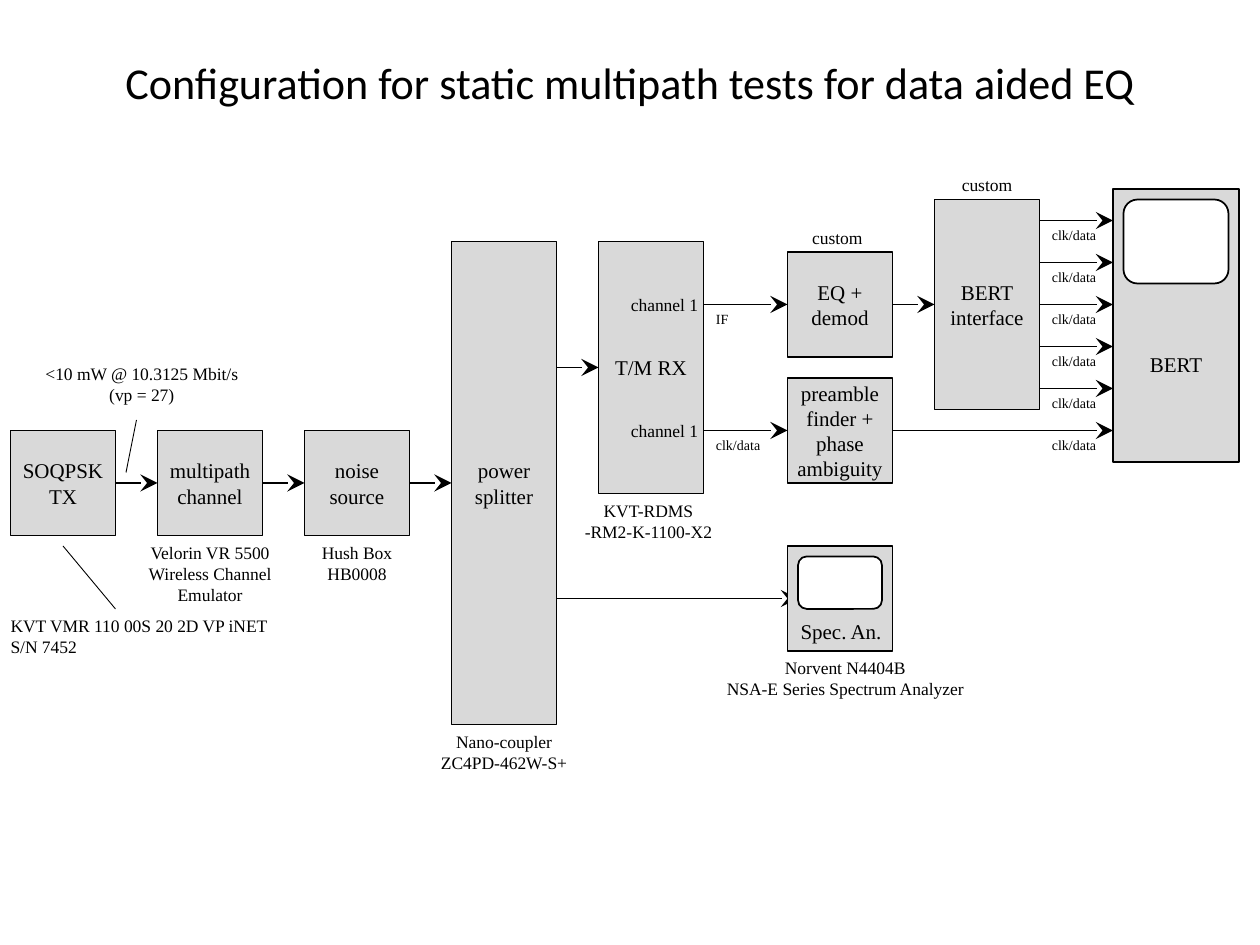
from pptx import Presentation
from pptx.dml.color import RGBColor
from pptx.enum.shapes import MSO_CONNECTOR, MSO_SHAPE
from pptx.enum.text import MSO_ANCHOR, MSO_AUTO_SIZE, PP_ALIGN
from pptx.oxml.ns import qn
from pptx.util import Inches, Pt
from lxml import etree

BLACK = RGBColor(0x00, 0x00, 0x00)
WHITE = RGBColor(0xFF, 0xFF, 0xFF)
GRAY = RGBColor(0xD9, 0xD9, 0xD9)
LEFT, CENTER = PP_ALIGN.LEFT, PP_ALIGN.CENTER
TOP, MIDDLE = MSO_ANCHOR.TOP, MSO_ANCHOR.MIDDLE
RECTANGLE, ROUNDED = MSO_SHAPE.RECTANGLE, MSO_SHAPE.ROUNDED_RECTANGLE
STRAIGHT = MSO_CONNECTOR.STRAIGHT
GROW = MSO_AUTO_SIZE.SHAPE_TO_FIT_TEXT
BLOCK = 10  # side of a standard block, in grid units


def grid(units):
    """Turn grid units, twelve to the inch, into a length."""
    return Inches(units / 12)


def write(frame, text, size=12, font="Times New Roman", align=CENTER,
          anchor=MIDDLE, side=0.0, top_inset=0.05, wrap=True):
    """Fill a text frame, one paragraph for each line of text."""
    frame.word_wrap = wrap
    frame.vertical_anchor = anchor
    frame.margin_left = frame.margin_right = Inches(side)
    frame.margin_top, frame.margin_bottom = Inches(top_inset), Inches(0.05)
    for index, line in enumerate(text.split("\n")):
        paragraph = frame.add_paragraph() if index else frame.paragraphs[0]
        paragraph.alignment = align
        run = paragraph.add_run()
        run.text = line
        run.font.size = Pt(size)
        run.font.name = font
        run.font.color.rgb = BLACK


class Diagram:
    """Draws block diagram elements on one slide, in grid units."""

    def __init__(self, slide):
        """Keep the slide to draw on."""
        self.shapes = slide.shapes

    def block(self, left, top, width=BLOCK, height=BLOCK, text="",
              kind=RECTANGLE, fill=GRAY, **style):
        """Add an outlined block with centred text."""
        shape = self.shapes.add_shape(
            kind, grid(left), grid(top), grid(width), grid(height))
        shape.shadow.inherit = False
        shape.fill.solid()
        shape.fill.fore_color.rgb = fill
        shape.line.color.rgb = BLACK
        shape.line.width = Pt(1)
        if text:
            write(shape.text_frame, text, **style)

    def screen(self, left, top, width, height):
        """Add the white display of an instrument."""
        self.block(left, top, width, height, kind=ROUNDED, fill=WHITE)

    def label(self, left, top, width, text, size=10, height=None, **style):
        """Add free text, as high as its lines unless a height is given."""
        lines = text.count("\n") + 1
        height = height or 1.2 + lines * size * 0.2
        box = self.shapes.add_textbox(
            grid(left), grid(top), grid(width), grid(height))
        write(box.text_frame, text, size, **{"anchor": TOP, **style})
        box.text_frame.auto_size = GROW

    def line(self, start, end, width=0.5, arrow=False):
        """Add a straight line, with an arrowhead if wanted."""
        connector = self.shapes.add_connector(
            STRAIGHT, *(grid(units) for units in (*start, *end)))
        connector.line.color.rgb = BLACK
        connector.line.width = Pt(width)
        if arrow:
            outline = connector.line._get_or_add_ln()
            etree.SubElement(outline, qn("a:tailEnd"),
                             type="stealth", w="lg", len="lg")
        properties = connector._element.spPr
        etree.SubElement(properties, qn("a:effectLst"))

    def arrow(self, start, end, y):
        """Add a horizontal signal arrow."""
        self.line((start, y), (end, y), width=1, arrow=True)


def draw_signals(diagram):
    """Draw all signal arrows and the leader lines of the transmitter."""
    arrows = [(11, 15, 46), (25, 29, 46), (39, 43, 46), (53, 57, 35),
              (53, 76, 57), (67, 75, 29), (67, 75, 41), (85, 89, 29),
              (85, 106, 41)]
    for start, end, y in arrows:
        diagram.arrow(start, end, y)
    for y in range(21, 38, 4):
        diagram.arrow(99, 106, y)
    diagram.line((13, 40), (12, 45))
    diagram.line((6, 52), (11, 58))


def draw_blocks(diagram):
    """Draw the blocks of the signal chain and the two displays."""
    chain = ["SOQPSK\nTX", "multipath\nchannel", "noise\nsource"]
    for index, name in enumerate(chain):
        diagram.block(1 + 14 * index, 41, text=name)
    diagram.block(43, 23, height=46, text="power\nsplitter")
    diagram.block(57, 23, height=24, text="T/M RX")
    diagram.block(75, 24, text="EQ +\ndemod")
    diagram.block(75, 36, text="preamble finder + phase ambiguity")
    diagram.block(89, 19, height=20, text="BERT\ninterface")
    diagram.block(106, 18, 12, 26, "BERT", top_inset=0.66)
    diagram.screen(107, 19, 10, 8)
    diagram.block(75, 52)
    diagram.screen(76, 53, 8, 5)


def draw_labels(diagram):
    """Write the title, the device names and the signal names."""
    diagram.label(6, 3.6, 108,
                  "Configuration for static multipath tests for data aided EQ",
                  size=25.2, height=8.4, font="Calibri", anchor=MIDDLE,
                  side=0.1)
    devices = [
        (13, 51, 14, "Velorin VR 5500\nWireless Channel Emulator"),
        (29, 51, 10, "Hush Box\nHB0008"),
        (41, 69, 14, "Nano-coupler\nZC4PD-462W-S+"),
        (54, 47, 15.5, "KVT-RDMS\n-RM2-K-1100-X2"),
        (69, 62, 23, "Norvent N4404B\nNSA-E Series Spectrum Analyzer"),
        (75, 21, 9.5, "custom"),
        (89, 16, 10, "custom"),
        (3, 34, 21, "<10 mW @ 10.3125 Mbit/s\n(vp = 27)"),
    ]
    for left, top, width, text in devices:
        diagram.label(left, top, width, text)
    diagram.label(1, 58, 26, "KVT VMR 110 00S 20 2D VP iNET\nS/N 7452",
                  align=LEFT)
    diagram.label(75, 58.3, 10.2, "Spec. An.", size=12, side=0.1, wrap=False)

    signal = {"align": LEFT, "side": 0.1, "wrap": False}
    for top in (27.4, 39.4):
        diagram.label(58.9, top, 9, "channel 1", **signal)
    diagram.label(67, 29, 3.6, "IF", size=8, **signal)
    clocks = [(67, 41)] + [(99, top) for top in range(21, 42, 4)]
    for left, top in clocks:
        diagram.label(left, top, 6.7, "clk/data", size=8, **signal)


def main():
    """Build the slide and save it."""
    presentation = Presentation()
    presentation.slide_width = Inches(10)
    presentation.slide_height = Inches(7.5)
    slide = presentation.slides.add_slide(presentation.slide_layouts[6])
    diagram = Diagram(slide)
    draw_signals(diagram)
    draw_blocks(diagram)
    draw_labels(diagram)
    presentation.save("out.pptx")


main()
